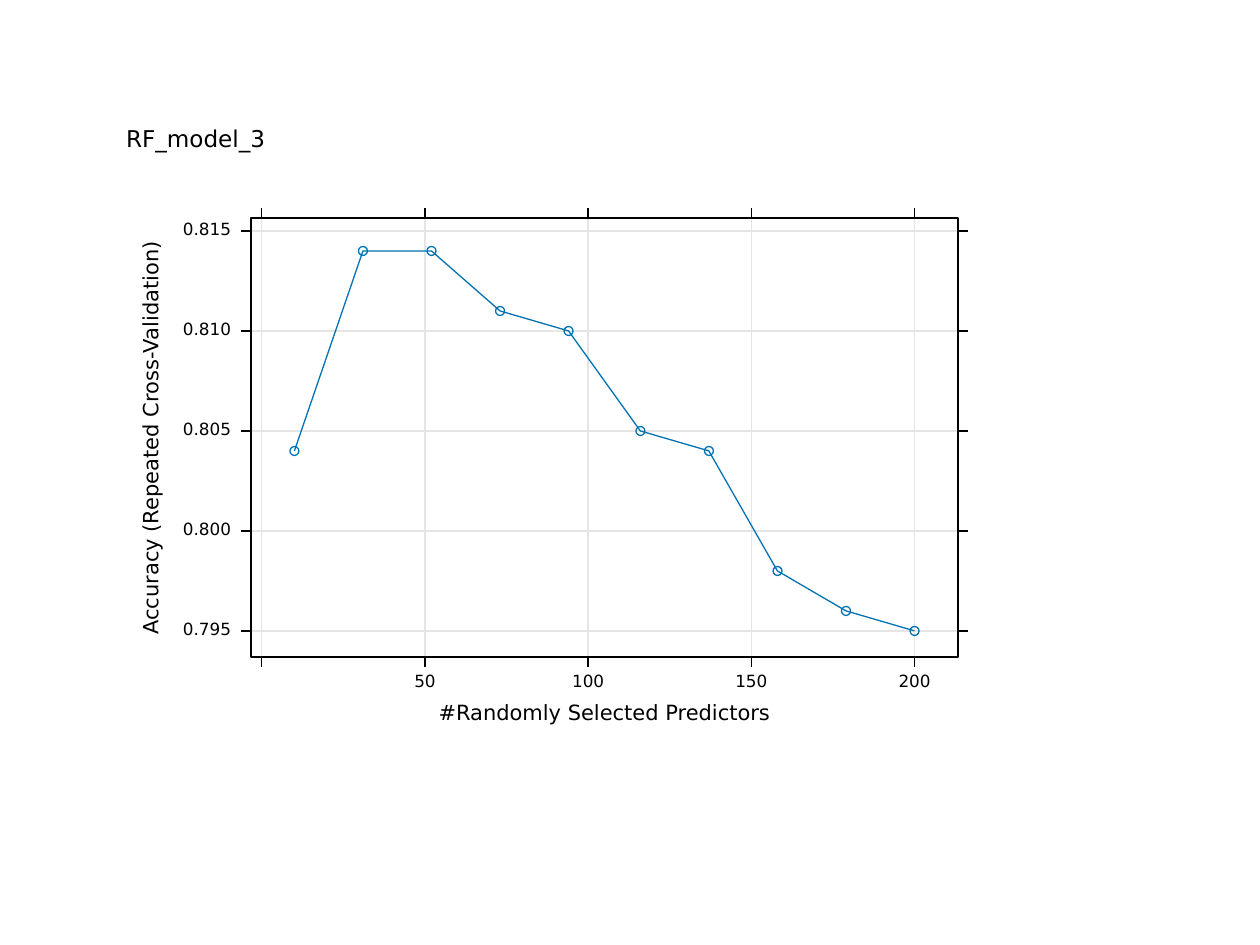
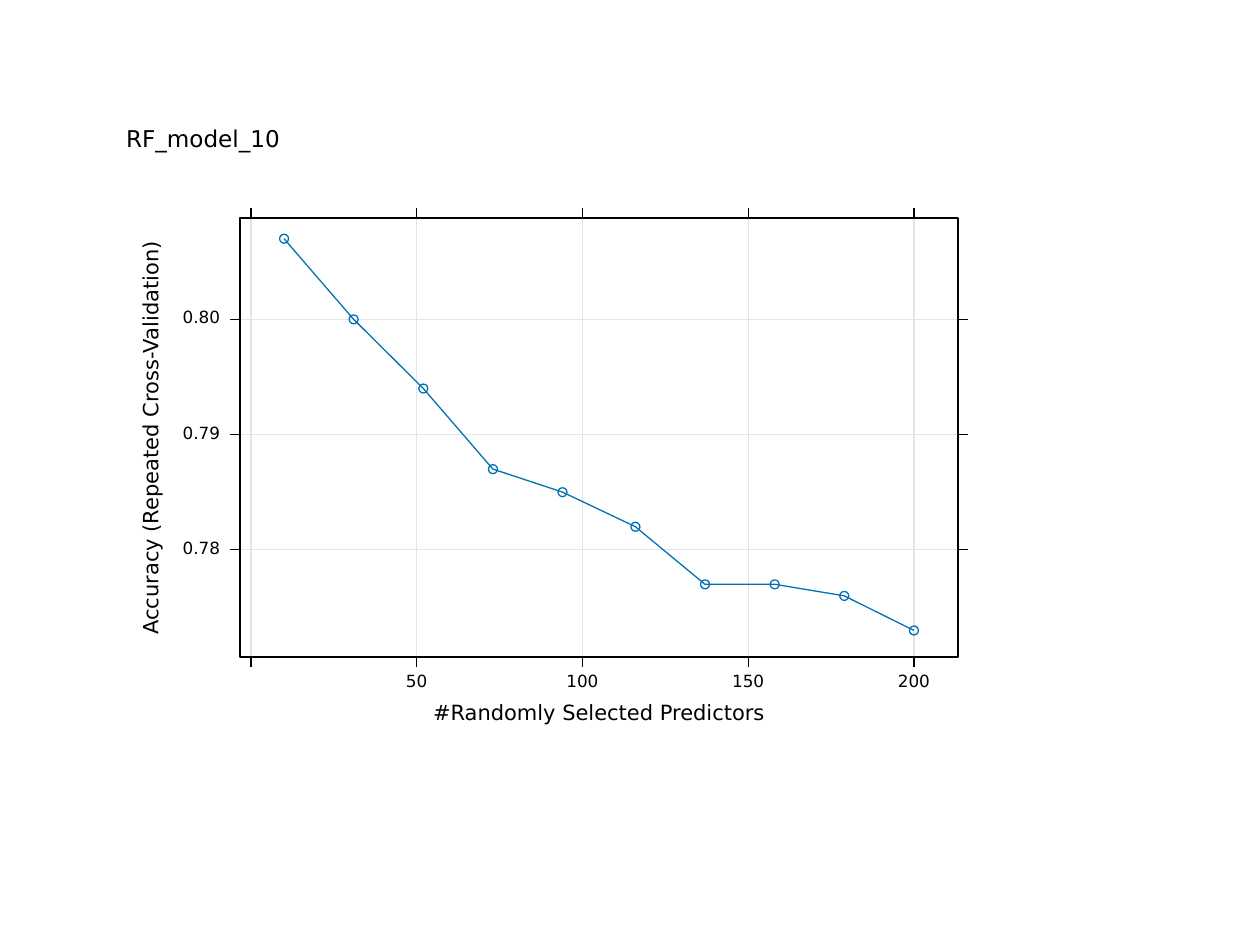
from pptx import Presentation
from pptx.chart.data import XyChartData
from pptx.dml.color import RGBColor
from pptx.enum.chart import XL_CHART_TYPE
from pptx.enum.shapes import MSO_CONNECTOR, MSO_SHAPE
from pptx.enum.text import MSO_ANCHOR, PP_ALIGN
from pptx.oxml import parse_xml
from pptx.oxml.ns import nsdecls, qn
from pptx.util import Pt

SCATTER = XL_CHART_TYPE.XY_SCATTER_LINES_NO_MARKERS
STRAIGHT = MSO_CONNECTOR.STRAIGHT
RECTANGLE, OVAL = MSO_SHAPE.RECTANGLE, MSO_SHAPE.OVAL
LEFT, CENTER, RIGHT = PP_ALIGN.LEFT, PP_ALIGN.CENTER, PP_ALIGN.RIGHT
MIDDLE = MSO_ANCHOR.MIDDLE

PX = 914400 / 126
COLORS = {"paper": "FFFFFF", "ink": "000000", "grid": "E5E5E5", "curve": "0072B2"}
FONT = "DejaVu Sans"
LINE_WIDTH = 0.75
TICK = 10
MARKER = 9
PANEL = (126, 126, 882, 630)

PREDICTOR_COUNTS = [10, 31, 52, 73, 94, 116, 137, 158, 179, 200]
PREDICTOR_TICKS = [0, 50, 100, 150, 200]
PREDICTOR_LIMITS = (-3.3, 213.3)
MODELS = [
    {
        "title": "RF_model_3",
        "plot": (125, 92, 707, 439),
        "ticks": ["0.795", "0.800", "0.805", "0.810", "0.815"],
        "limits": (0.7937, 0.81565),
        "accuracy": [0.804, 0.814, 0.814, 0.811, 0.810,
                     0.805, 0.804, 0.798, 0.796, 0.795],
    },
    {
        "title": "RF_model_10",
        "plot": (114, 92, 718, 439),
        "ticks": ["0.78", "0.79", "0.80"],
        "limits": (0.7707, 0.8088),
        "accuracy": [0.807, 0.800, 0.794, 0.787, 0.785,
                     0.782, 0.777, 0.777, 0.776, 0.773],
    },
]


def emu(*lengths):
    return [round(length * PX) for length in lengths]


def rgb(name):
    return RGBColor.from_string(COLORS[name])


def style_line(line, color):
    line.color.rgb = rgb(color)
    line.width = Pt(LINE_WIDTH)


def add_outline(slide, kind, box, color, fill=None):
    outline = slide.shapes.add_shape(kind, *emu(*box))
    outline.shadow.inherit = False
    if fill:
        outline.fill.solid()
        outline.fill.fore_color.rgb = rgb(fill)
    else:
        outline.fill.background()
    style_line(outline.line, color)


def add_rule(slide, x1, y1, x2, y2, color):
    rule = slide.shapes.add_connector(STRAIGHT, *emu(x1, y1, x2, y2))
    rule.element.spPr.append(parse_xml(f"<a:effectLst {nsdecls('a')}/>"))
    style_line(rule.line, color)


def add_label(slide, text, box, size, align=CENTER, rotation=0):
    label = slide.shapes.add_textbox(*emu(*box))
    label.rotation = rotation
    frame = label.text_frame
    frame.margin_left = frame.margin_right = 0
    frame.margin_top = frame.margin_bottom = 0
    frame.vertical_anchor = MIDDLE
    frame.word_wrap = False
    frame.text = text
    paragraph = frame.paragraphs[0]
    paragraph.alignment = align
    paragraph.line_spacing = Pt(size)
    font = paragraph.runs[0].font
    font.name, font.size = FONT, Pt(size)
    font.color.rgb = rgb("ink")


def position(value, limits, start, length):
    low, high = limits
    return start + (value - low) / (high - low) * length


def fill_chart_with_plot(chart):
    """Stretch the plot over the whole chart and make both see-through."""
    clear = f"<c:spPr {nsdecls('c', 'a')}><a:noFill/><a:ln><a:noFill/></a:ln></c:spPr>"
    chart_node = chart.element.find(qn("c:chart"))
    chart_node.addnext(parse_xml(clear))
    plot_area = chart_node.find(qn("c:plotArea"))
    for layout in plot_area.findall(qn("c:layout")):
        plot_area.remove(layout)
    plot_area.insert(0, parse_xml(
        f"<c:layout {nsdecls('c')}><c:manualLayout>"
        '<c:layoutTarget val="inner"/><c:xMode val="edge"/><c:yMode val="edge"/>'
        '<c:x val="0"/><c:y val="0"/><c:w val="1"/><c:h val="1"/>'
        "</c:manualLayout></c:layout>"))
    plot_area.append(parse_xml(clear))


def add_accuracy_curve(slide, box, model):
    data = XyChartData()
    points = data.add_series(model["title"])
    for count, accuracy in zip(PREDICTOR_COUNTS, model["accuracy"]):
        points.add_data_point(count, accuracy)
    chart = slide.shapes.add_chart(SCATTER, *emu(*box), data).chart
    chart.has_title = chart.has_legend = False
    chart.font.name, chart.font.size = FONT, Pt(9.6)
    chart.font.color.rgb = rgb("ink")
    for axis, limits in ((chart.category_axis, PREDICTOR_LIMITS),
                         (chart.value_axis, model["limits"])):
        axis.minimum_scale, axis.maximum_scale = limits
        axis.has_major_gridlines = False
        axis.visible = False
    chart.plots[0].vary_by_categories = False
    curve = chart.plots[0].series[0]
    curve.smooth = False
    style_line(curve.format.line, "curve")
    fill_chart_with_plot(chart)


def add_scales(slide, box, model):
    left, top, width, height = box
    right, bottom = left + width, top + height
    # Predictor scale: grid line, a tick at each end, label below
    for count in PREDICTOR_TICKS:
        x = position(count, PREDICTOR_LIMITS, left, width)
        add_rule(slide, x, bottom, x, top, "grid")
        add_rule(slide, x, top, x, top - TICK, "ink")
        add_rule(slide, x, bottom, x, bottom + TICK, "ink")
        if count:
            add_label(slide, str(count), (x - 20, bottom + 19, 40, 13), 9.6)
    # Accuracy scale: grid line, a tick at each end, label on the left
    for text in model["ticks"]:
        y = position(float(text), model["limits"], bottom, -height)
        add_rule(slide, left, y, right, y, "grid")
        add_rule(slide, left, y, left - TICK, y, "ink")
        add_rule(slide, right, y, right + TICK, y, "ink")
        add_label(slide, text, (left - 76, y - 7, 56, 13), 9.6, RIGHT)


def add_accuracy_plot(slide, box, model):
    left, top, width, height = box
    bottom = top + height
    add_scales(slide, box, model)
    add_accuracy_curve(slide, box, model)
    # Hollow point markers
    for count, accuracy in zip(PREDICTOR_COUNTS, model["accuracy"]):
        x = position(count, PREDICTOR_LIMITS, left, width) - MARKER / 2
        y = position(accuracy, model["limits"], bottom, -height) - MARKER / 2
        add_outline(slide, OVAL, (x, y, MARKER, MARKER), "curve")
    # Plot frame and predictor title
    add_outline(slide, RECTANGLE, box, "ink")
    add_label(slide, "#Randomly Selected Predictors",
              (left + width / 2 - 170, bottom + 47, 340, 20), 12)


def add_model_slide(deck, panel, model):
    slide = deck.slides.add_slide(deck.slide_layouts[6])
    left, top, _, _ = panel
    add_outline(slide, RECTANGLE, panel, "paper", fill="paper")
    add_label(slide, model["title"], (left, top + 3, 160, 23), 13.2, LEFT)
    # Accuracy title, turned about its centre
    add_label(slide, "Accuracy (Repeated Cross-Validation)",
              (left - 176, top + 302, 404, 20), 12, rotation=270)
    plot_left, plot_top, width, height = model["plot"]
    add_accuracy_plot(slide, (left + plot_left, top + plot_top, width, height), model)


def main():
    deck = Presentation()
    deck.slide_width, deck.slide_height = emu(1260, 945)
    for model in MODELS:
        add_model_slide(deck, PANEL, model)
    deck.save("out.pptx")


if __name__ == "__main__":
    main()
